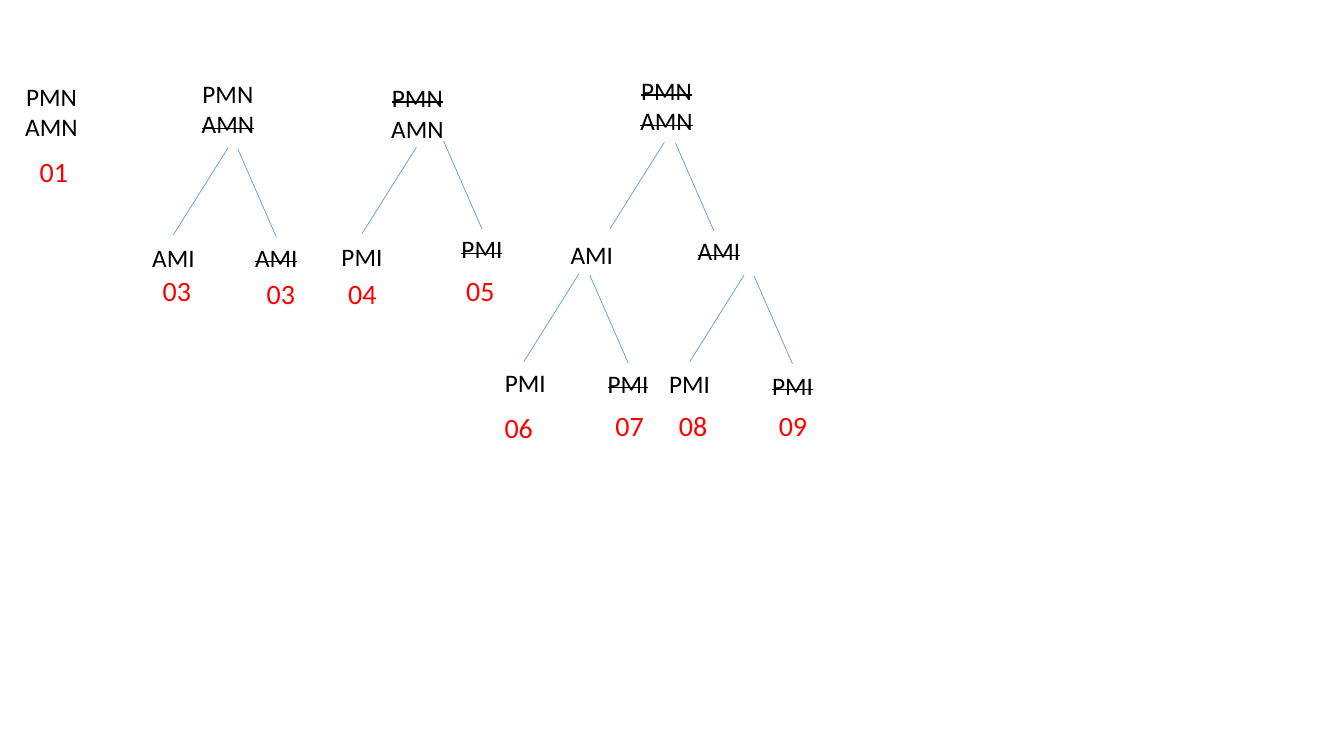
"""Draw the decision trees of PMN, AMN, AMI and PMI with numbered outcomes."""
from lxml import etree
from pptx import Presentation, util as u
from pptx.dml.color import RGBColor
from pptx.enum import shapes, text
from pptx.oxml.ns import qn

PX = 9144
FONT = "Calibri"


def color(code):
    return RGBColor.from_string(code)


def write(spans, left, top, width, height, size=18, ink="000000", wrap=True):
    box = slide.shapes.add_textbox(left * PX, top * PX, width * PX, height * PX)
    frame = box.text_frame
    frame.word_wrap = wrap
    frame.auto_size = text.MSO_AUTO_SIZE.SHAPE_TO_FIT_TEXT
    para = frame.paragraphs[0]
    para.alignment = text.PP_ALIGN.CENTER
    for words, struck in spans:
        span = para.add_run()
        span.text = words
        span.font.name = FONT
        span.font.size = u.Pt(size)
        span.font.color.rgb = color(ink)
        if struck:
            span._r.get_or_add_rPr().set("strike", "sngStrike")


deck = Presentation()
deck.slide_width = 1333 * PX
deck.slide_height = 750 * PX
slide = deck.slides.add_slide(deck.slide_layouts[6])

roots = [
    ([("PMN AMN", False)], 0, 76),
    ([("PMN ", False), ("AMN", True)], 175, 73),
    ([("PMN", True), (" AMN", False)], 363, 77),
    ([("PMN AMN", True)], 610, 70),
]
for spans, left, top in roots:
    write(spans, left, top, 102, 71)

nodes = [
    ("AMI", False, 121, 235, 102),
    ("AMI", True, 223, 235, 102),
    ("PMI", False, 308, 234, 102),
    ("PMI", True, 444, 227, 68),
    ("AMI", False, 536, 233, 102),
    ("AMI", True, 662, 229, 102),
    ("PMI", False, 470, 359, 102),
    ("PMI", True, 589, 360, 68),
    ("PMI", False, 633, 360, 102),
    ("PMI", True, 752, 362, 68),
]
for name, struck, left, top, width in nodes:
    write([(name, struck)], left, top, width, 40)

left_branch, right_branch = (-54, 86), (38, 87)
forks = [
    ((226, 147), (236, 148)),
    ((413, 146), (440, 140)),
    ((659, 141), (670, 142)),
    ((574, 272), (585, 273)),
    ((738, 273), (748, 274)),
]
for starts in forks:
    for (x, y), (run, drop) in zip(starts, (left_branch, right_branch)):
        branch = slide.shapes.add_connector(
            shapes.MSO_CONNECTOR.STRAIGHT,
            x * PX, y * PX, (x + run) * PX, (y + drop) * PX)
        branch.line.color.rgb = color("5B9BD5")
        branch.line.width = u.Pt(0.5)
        etree.SubElement(branch._element.spPr, qn("a:effectLst"))

outcomes = [
    ("01", 29, 148),
    ("03", 151, 266),
    ("03", 254, 269),
    ("04", 335, 269),
    ("05", 452, 266),
    ("06", 490, 402),
    ("07", 600, 400),
    ("08", 663, 400),
    ("09", 762, 400),
]
for number, left, top in outcomes:
    write([(number, False)], left, top, 49, 44, size=20, ink="FF0000", wrap=False)

deck.save("out.pptx")
